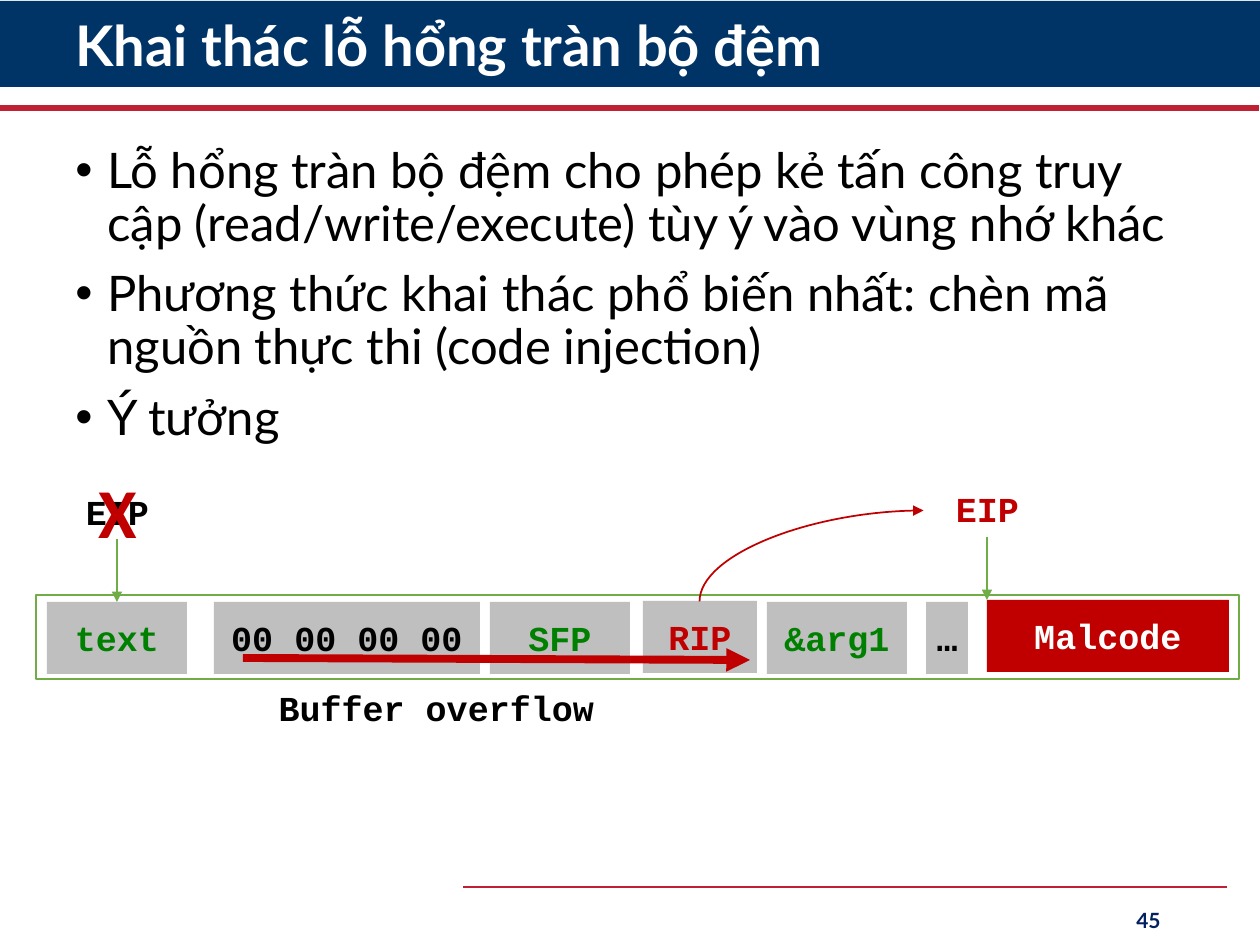
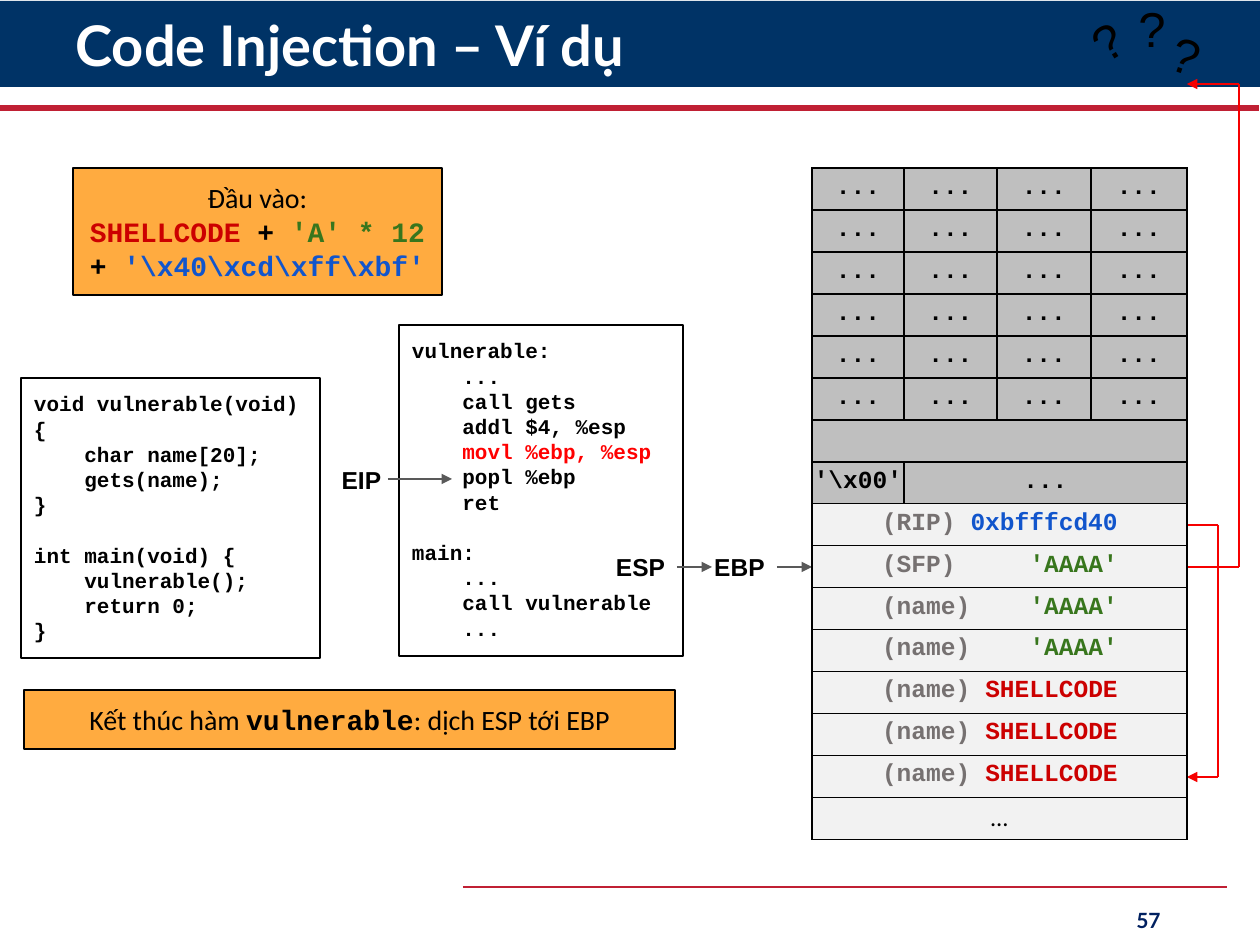
import pptx
import pptx.dml.color
import pptx.enum.shapes
import pptx.enum.text
import pptx.oxml.ns
import pptx.util
import lxml.etree
from dataclasses import dataclass

PX = 914400 // 126
ALIGN = pptx.enum.text.PP_ALIGN
ANCHOR = pptx.enum.text.MSO_ANCHOR
SHAPE = pptx.enum.shapes.MSO_SHAPE
CONNECTOR = pptx.enum.shapes.MSO_CONNECTOR


@dataclass(frozen=True)
class Theme:
    navy: str = "003366"
    crimson: str = "C02034"
    page_number: str = "002060"
    white: str = "FFFFFF"
    black: str = "000000"
    grey: str = "BFBFBF"
    pale: str = "F2F2F2"
    label: str = "767171"
    pointer: str = "595959"
    green: str = "008000"
    lime: str = "70AD47"
    attack: str = "C00000"
    shellcode: str = "CC0000"
    padding: str = "38761D"
    address: str = "1155CC"
    bright: str = "FF0000"
    jump: str = "F60000"
    orange: str = "FFAB40"
    heading_font: str = "Lato"
    text_font: str = "Calibri"
    code_font: str = "Courier New"
    label_font: str = "Arial"
    title_size: int = 32
    body_size: int = 28
    cross_size: int = 40
    memory_size: int = 20
    note_size: int = 16
    stack_size: int = 14
    small_size: int = 12


T = Theme()


# A span is (text, font, size, colour, bold)
def code(text, size, color=T.black):
    return (text, T.code_font, size, color, True)


def memory(text, color=T.black):
    return code(text, T.memory_size, color)


def stack(text, color=T.black):
    return code(text, T.stack_size, color)


def note(text):
    return (text, T.text_font, T.note_size, T.black, False)


def strong(text, color=T.black):
    return code(text, T.note_size, color)


# Content: exploit slide
BULLETS = [
    "Lỗ hổng tràn bộ đệm cho phép kẻ tấn công truy cập (read/write/execute) tùy ý vào vùng nhớ khác",
    "Phương thức khai thác phổ biến nhất: chèn mã nguồn thực thi (code injection)",
    "Ý tưởng",
]
# text, left, top, width, fill, text colour
MEMORY_CELLS = [
    ("Malcode", 987, 600, 242, T.attack, T.white),
    ("00 00 00 00", 214, 602, 266, T.grey, T.black),
    ("SFP", 490, 602, 140, T.grey, T.green),
    ("RIP", 643, 601, 114, T.grey, T.attack),
    ("&arg1", 767, 602, 140, T.grey, T.green),
    ("…", 926, 602, 42, T.grey, T.black),
    ("text", 47, 602, 140, T.grey, T.green),
]
# span, left, top, width, height
MEMORY_LABELS = [
    (memory("Buffer overflow"), 223, 680, 427, 55),
    (memory("EIP"), 55, 484, 125, 55),
    (memory("EIP", T.attack), 925, 481, 125, 55),
    (("X", T.text_font, T.cross_size, T.attack, True), 55, 462, 125, 97),
]

# Content: injection example
SOURCE_CODE = """void vulnerable(void) {
    char name[20];
    gets(name);
}

int main(void) {
    vulnerable();
    return 0;
}"""
ASSEMBLY = """vulnerable:
    ...
    call gets
    addl $4, %esp
    movl %ebp, %esp
    popl %ebp
    ret

main:
    ...
    call vulnerable
    ..."""
CURRENT_LINE = "    movl %ebp, %esp"
INPUT_NOTE = [
    [note("Đầu vào:")],
    [strong("SHELLCODE", T.shellcode), strong(" + "), strong("'A' * 12", T.padding),
     strong(" + "), strong(r"'\x40\xcd\xff\xbf'", T.address)],
]
STEP_NOTE = [[note("Kết thúc hàm "), strong("vulnerable"), note(": dịch ESP tới EBP")]]
# register, label left, top, width, arrow start, arrow end, arrow height
REGISTERS = [
    ("EIP", 316, 459, 91, 388, 452, 479),
    ("ESP", 604, 546, 73, 677, 712, 567),
    ("EBP", 703, 546, 73, 777, 812, 567),
]
JUMPS = [
    [(1187, 567), (1239, 567), (1239, 84), (1187, 84)],
    [(1187, 525), (1218, 525), (1218, 777), (1187, 777)],
]
# centre x, centre y, rotation
QUESTION_MARKS = [(1186, 55, 19.6), (1107, 41, 328.2), (1152, 28, 0)]

# Each stack row is a list of (column span, text spans)
STACK_WORDS = [
    ("(RIP)", "0xbfffcd40", T.address),
    ("(SFP)", "'AAAA'", T.padding),
    *[("(name)", "'AAAA'", T.padding)] * 2,
    *[("(name)", "SHELLCODE", T.shellcode)] * 3,
]
STACK_ROWS = [[(1, [stack("...")])] * 4 for _ in range(6)]
STACK_ROWS += [[(4, [])], [(1, [stack(r"'\x00'")]), (3, [stack("...")])]]
STACK_ROWS += [[(4, [stack(label + "\t", T.label), stack(value, color)])]
               for label, value, color in STACK_WORDS]
STACK_ROWS += [[(4, [("…", T.text_font, T.stack_size, T.black, False)])]]
STACK_COLUMNS = [92, 93, 94, 96]
STACK_ROW_HEIGHT = 42
FIRST_WORD_ROW = 8


# Drawing helpers
def rgb(color):
    return pptx.dml.color.RGBColor.from_string(color)


def add_xml(parent, tag, **attributes):
    child = lxml.etree.SubElement(parent, pptx.oxml.ns.qn(tag))
    for key, value in attributes.items():
        child.set(key, str(value))
    return child


def add_spans(para, spans):
    for text, font, size, color, bold in spans:
        run = para.add_run()
        run.text = text
        run.font.name = font
        run.font.size = pptx.util.Pt(size)
        run.font.bold = bold
        run.font.color.rgb = rgb(color)


def write(box, paragraphs, align=ALIGN.LEFT, anchor=ANCHOR.TOP, inset=None, wrap=True):
    frame = box.text_frame
    frame.word_wrap = wrap
    frame.vertical_anchor = anchor
    if inset is not None:
        frame.margin_left = frame.margin_right = inset * PX
        frame.margin_top = frame.margin_bottom = inset * PX
    for index, spans in enumerate(paragraphs):
        para = frame.add_paragraph() if index else frame.paragraphs[0]
        para.alignment = align
        add_spans(para, spans)
    return frame.paragraphs


def add_text(page, bounds, paragraphs, **options):
    box = page.shapes.add_textbox(*[n * PX for n in bounds])
    return box, write(box, paragraphs, **options)


def add_rect(page, bounds, fill=None, line=None, width=1.5):
    rect = page.shapes.add_shape(SHAPE.RECTANGLE, *[n * PX for n in bounds])
    rect.shadow.inherit = False
    if fill:
        rect.fill.solid()
        rect.fill.fore_color.rgb = rgb(fill)
    else:
        rect.fill.background()
    if line:
        rect.line.color.rgb = rgb(line)
        rect.line.width = pptx.util.Pt(width)
    else:
        rect.line.fill.background()
    return rect


def add_line(page, start, end, color, width=1, arrow=False, kind=CONNECTOR.STRAIGHT):
    line = page.shapes.add_connector(kind, *[n * PX for n in (*start, *end)])
    line.line.color.rgb = rgb(color)
    line.line.width = pptx.util.Pt(width)
    properties = line._element.spPr
    if arrow:
        add_xml(properties.find(pptx.oxml.ns.qn("a:ln")), "a:tailEnd", type="triangle")
    add_xml(properties, "a:effectLst")
    return line


def add_page(deck, title, number):
    page = deck.slides.add_slide(deck.slide_layouts[6])
    add_rect(page, (0, 1, 1260, 86), T.navy)
    add_line(page, (-1, 108), (1259, 108), T.crimson, 3.5)
    add_line(page, (463, 887), (1227, 887), T.crimson, 1.5)
    _, paras = add_text(page, (63, 10, 1110, 77),
                        [[(title, T.heading_font, T.title_size, T.white, True)]],
                        anchor=ANCHOR.MIDDLE)
    paras[0].line_spacing = 0.9
    add_text(page, (890, 895, 283, 50),
             [[(number, T.heading_font, T.small_size, T.page_number, True)]],
             align=ALIGN.RIGHT, anchor=ANCHOR.MIDDLE)
    return page


def add_code(page, bounds, listing):
    pitch = pptx.util.Pt(T.small_size * 1.2)
    lines = listing.split("\n")
    shown = [line for line in lines if line]
    after_gap = [line for before, line in zip(lines, lines[1:]) if not before]
    paragraphs = [[code(line, T.small_size, T.bright if line == CURRENT_LINE else T.black)]
                  for line in shown]
    box = add_rect(page, bounds, T.white, T.black)
    for line, para in zip(shown, write(box, paragraphs, inset=13)):
        para.line_spacing = pitch
        if line in after_gap:
            para.space_before = pitch


def add_note(page, bounds, paragraphs):
    box = add_rect(page, bounds, T.orange, T.black)
    write(box, paragraphs, align=ALIGN.CENTER, inset=13)


def add_stack(page):
    table = page.shapes.add_table(len(STACK_ROWS), len(STACK_COLUMNS), 812 * PX, 168 * PX,
                                  sum(STACK_COLUMNS) * PX,
                                  len(STACK_ROWS) * STACK_ROW_HEIGHT * PX).table
    table.first_row = table.horz_banding = False
    for column, width in zip(table.columns, STACK_COLUMNS):
        column.width = width * PX
    for r, cells in enumerate(STACK_ROWS):
        table.rows[r].height = STACK_ROW_HEIGHT * PX
        for cell in table.rows[r].cells:
            properties = cell._tc.get_or_add_tcPr()
            for side in ("L", "R", "T", "B"):
                border = add_xml(properties, "a:ln" + side, w=pptx.util.Pt(1))
                add_xml(add_xml(border, "a:solidFill"), "a:srgbClr", val=T.black)
            cell.fill.solid()
            cell.fill.fore_color.rgb = rgb(T.grey if r < FIRST_WORD_ROW else T.pale)
            cell.margin_left = cell.margin_right = 0
            cell.margin_top = cell.margin_bottom = 6 * PX
        c = 0
        for span, spans in cells:
            cell = table.cell(r, c)
            if span > 1:
                cell.merge(table.cell(r, c + span - 1))
            para = cell.text_frame.paragraphs[0]
            para.alignment = ALIGN.CENTER
            if len(spans) == 2:  # label left, value against a right tab
                para.alignment = ALIGN.LEFT
                cell.margin_left = 70 * PX
                tabs = add_xml(para._p.get_or_add_pPr(), "a:tabLst")
                add_xml(tabs, "a:tab", pos=236 * PX, algn="r")
            add_spans(para, spans)
            c += span
        for cell in table.rows[r].cells:
            para = cell.text_frame.paragraphs[0]
            if not para.runs:
                add_xml(para._p, "a:endParaRPr", sz=T.stack_size * 100)


# Slides
def build_exploit(deck):
    page = add_page(deck, "Khai thác lỗ hổng tràn bộ đệm", "45")
    _, paras = add_text(page, (63, 140, 1134, 752),
                        [[(text, T.heading_font, T.body_size, T.black, False)] for text in BULLETS])
    for index, para in enumerate(paras):
        para.line_spacing = 0.9
        if index:
            para.space_before = pptx.util.Pt(10)
        properties = para._p.get_or_add_pPr()
        properties.set("marL", str(32 * PX))
        properties.set("indent", str(-32 * PX))
        add_xml(properties, "a:buFont", typeface=T.label_font)
        add_xml(properties, "a:buChar", char="•")

    # Memory strip
    add_rect(page, (36, 595, 1203, 84), line=T.lime, width=1)
    for text, left, top, width, fill, color in MEMORY_CELLS:
        write(add_rect(page, (left, top, width, 72), fill), [[memory(text, color)]],
              align=ALIGN.CENTER, anchor=ANCHOR.MIDDLE, inset=0)
    for span, *bounds in MEMORY_LABELS:
        add_text(page, bounds, [[span]], align=ALIGN.CENTER)

    # Instruction pointers and overflow
    for x, top in ((117, 539), (987, 537)):
        add_line(page, (x, top), (x, top + 63), T.lime, 1.5, arrow=True)
    curve = add_line(page, (857, 668), (766, 444), T.attack, arrow=True, kind=CONNECTOR.CURVE)
    properties = curve._element.spPr
    properties.find(pptx.oxml.ns.qn("a:xfrm")).set("rot", str(90 * 60000))
    properties.find(pptx.oxml.ns.qn("a:prstGeom")).set("prst", "curvedConnector2")
    add_line(page, (243, 658), (750, 660), T.attack, 4.5, arrow=True)


def build_example(deck):
    page = add_page(deck, "Code Injection – Ví dụ", "57")
    add_code(page, (21, 378, 299, 280), SOURCE_CODE)
    add_code(page, (399, 325, 284, 331), ASSEMBLY)
    for name, left, top, width, start, end, y in REGISTERS:
        add_text(page, (left, top, width, 43),
                 [[(name, T.label_font, T.stack_size, T.black, True)]],
                 align=ALIGN.CENTER, inset=6)
        add_line(page, (start, y), (end, y), T.pointer, arrow=True)
    add_note(page, (73, 168, 369, 127), INPUT_NOTE)
    add_note(page, (24, 690, 651, 59), STEP_NOTE)
    for x, y, angle in QUESTION_MARKS:
        mark, _ = add_text(page, (x - 21, y - 28, 42, 56),
                           [[("?", T.label_font, T.body_size, T.black, False)]],
                           align=ALIGN.CENTER, anchor=ANCHOR.MIDDLE, inset=0)
        mark.rotation = angle
    for points in JUMPS:
        for index, (start, end) in enumerate(zip(points, points[1:])):
            add_line(page, start, end, T.jump, arrow=index == len(points) - 2)
    add_stack(page)


def main():
    deck = pptx.Presentation()
    deck.slide_width = 1260 * PX
    deck.slide_height = 945 * PX
    build_exploit(deck)
    build_example(deck)
    deck.save("out.pptx")


if __name__ == "__main__":
    main()
